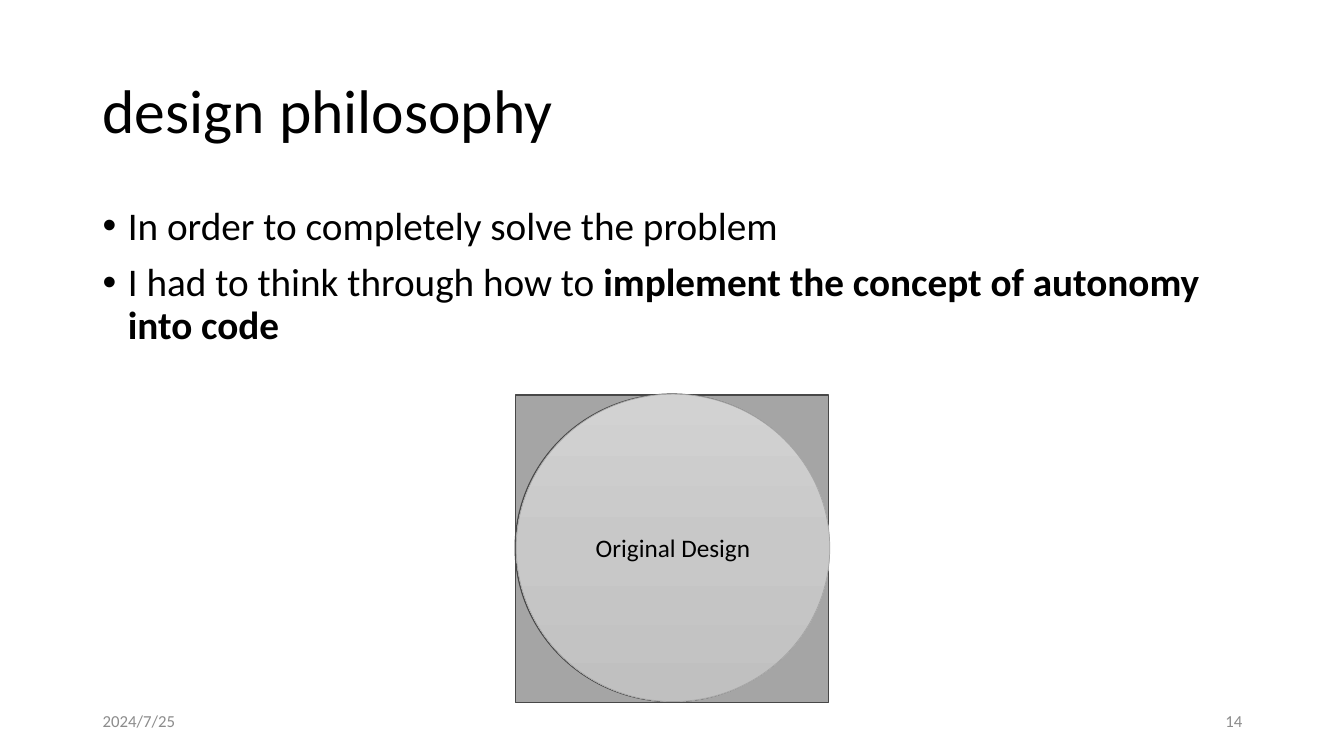
import copy

import lxml.etree
import pptx
import pptx.dml.color
import pptx.enum.shapes
import pptx.enum.text
import pptx.oxml.ns
import pptx.util

ALIGN = pptx.enum.text.PP_ALIGN
ANCHOR = pptx.enum.text.MSO_ANCHOR
SHAPE = pptx.enum.shapes.MSO_SHAPE
qn = pptx.oxml.ns.qn


def px(length):
    """Turn px, 100 to the inch, into EMU."""
    return pptx.util.Emu(length * 9144)


def rgb(code):
    return pptx.dml.color.RGBColor.from_string(code)


class SlideBuilder:
    font = "Calibri"
    ink = "000000"
    muted = "8C8C8C"
    grey = "A5A5A5"
    outline = "484848"

    def __init__(self, slide):
        self.slide = slide

    def style(self, paragraph, size, color, align=ALIGN.LEFT):
        paragraph.alignment = align
        paragraph.font.name = self.font
        paragraph.font.size = pptx.util.Pt(size)
        paragraph.font.color.rgb = rgb(color)

    def frame(self, box, anchor):
        frame = self.slide.shapes.add_textbox(*map(px, box)).text_frame
        frame.word_wrap = True
        frame.vertical_anchor = anchor
        return frame

    def text(self, box, wording, size, color, align=ALIGN.LEFT, spacing=None):
        line = self.frame(box, ANCHOR.MIDDLE).paragraphs[0]
        line.text = wording
        line.line_spacing = spacing
        self.style(line, size, color, align)

    def bullets(self, box, points, size):
        """Each point is a list of (wording, bold) runs."""
        frame = self.frame(box, ANCHOR.TOP)
        for index, runs in enumerate(points):
            point = frame.add_paragraph() if index else frame.paragraphs[0]
            point.line_spacing = 0.9
            point.space_before = pptx.util.Pt(10)
            properties = point._p.get_or_add_pPr()
            properties.set("marL", str(px(25)))
            properties.set("indent", str(px(-25)))
            lxml.etree.SubElement(properties, qn("a:buFont"), typeface="Arial")
            lxml.etree.SubElement(properties, qn("a:buChar"), char="•")
            self.style(point, size, self.ink)
            for wording, bold in runs:
                run = point.add_run()
                run.text = wording
                if bold:
                    run.font.bold = True

    def shape(self, kind, box, line, width):
        shape = self.slide.shapes.add_shape(kind, *map(px, box))
        shape.shadow.inherit = False
        shape.fill.solid()
        shape.fill.fore_color.rgb = rgb(self.grey)
        shape.line.color.rgb = rgb(line)
        shape.line.width = pptx.util.Pt(width)
        return shape

    def gradient(self, shape, colors):
        """Fill from top to bottom with evenly spaced colours."""
        shape.fill.gradient()
        shape.fill.gradient_angle = 270
        stop_list = shape.element.spPr.find(".//" + qn("a:gsLst"))
        for _ in colors[2:]:
            stop_list.append(copy.deepcopy(stop_list[0]))
        for index, (stop, color) in enumerate(zip(shape.fill.gradient_stops, colors)):
            stop.position = index / (len(colors) - 1)
            stop.color.rgb = rgb(color)

    def label(self, shape, wording, size):
        shape.text_frame.vertical_anchor = ANCHOR.MIDDLE
        caption = shape.text_frame.paragraphs[0]
        caption.text = wording
        self.style(caption, size, self.ink, ALIGN.CENTER)


def main():
    deck = pptx.Presentation()
    deck.slide_width, deck.slide_height = px(1333), px(750)
    page = SlideBuilder(deck.slides.add_slide(deck.slide_layouts[6]))

    page.shape(SHAPE.RECTANGLE, (511, 392, 311, 305), page.outline, 1)
    page.shape(SHAPE.OVAL, (511, 391, 311, 305), page.outline, 1)

    page.text((92, 40, 1150, 145), "design philosophy", 44, page.ink, spacing=0.9)
    page.bullets((92, 200, 1150, 476), [
        [("In order to completely solve the problem", False)],
        [("I had to think through how to ", False),
         ("implement the concept of autonomy into code", True)],
    ], 28)
    page.text((92, 695, 300, 40), "2024/7/25", 12, page.muted)
    page.text((942, 695, 300, 40), "14", 12, page.muted, ALIGN.RIGHT)

    design = page.shape(SHAPE.OVAL, (512, 391, 311, 305), page.grey, 0.5)
    page.gradient(design, ["D2D2D2", "C8C8C8", "C0C0C0"])
    page.label(design, "Original Design", 18)

    deck.save("out.pptx")


if __name__ == "__main__":
    main()
